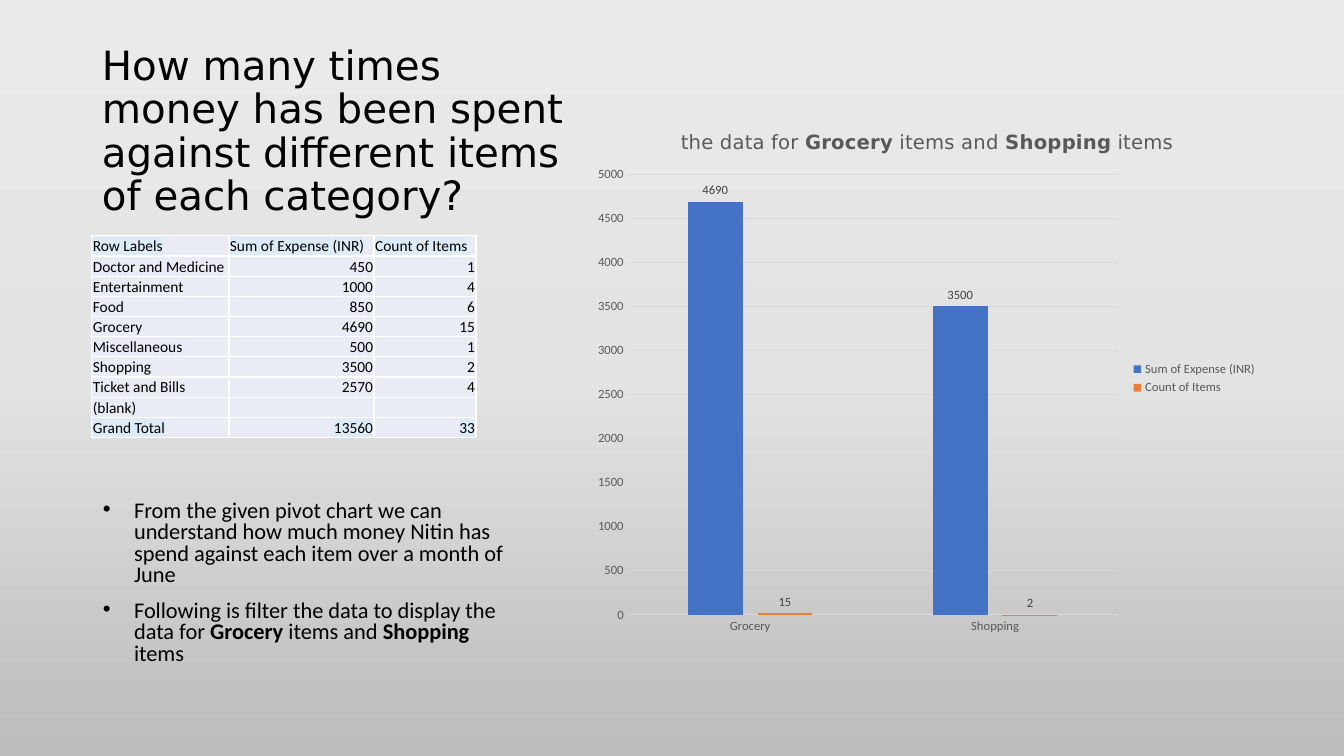
import lxml.etree
import copy
import pptx
import pptx.util
import pptx.chart.data
import pptx.dml.color
import pptx.enum.chart
import pptx.enum.text
import pptx.oxml.ns

Pt = pptx.util.Pt
RGB = pptx.dml.color.RGBColor
Align = pptx.enum.text.PP_ALIGN
Anchor = pptx.enum.text.MSO_ANCHOR
qn = pptx.oxml.ns.qn

BLACK = RGB(0, 0, 0)
WHITE = RGB(255, 255, 255)
GREY = RGB(0x59, 0x59, 0x59)
DARK = RGB(0x40, 0x40, 0x40)
RULE = RGB(0xD9, 0xD9, 0xD9)
CELL = RGB(0xE9, 0xEB, 0xF5)
MARK = RGB(0xDD, 0xEB, 0xF7)
BLUE = RGB(0x44, 0x72, 0xC4)
ORANGE = RGB(0xED, 0x7D, 0x31)
SHADES = [(0, RGB(0xEB, 0xEA, 0xEA)), (0.5, RGB(0xE4, 0xE3, 0xE3)),
          (1, RGB(0xBD, 0xBC, 0xBC))]

WIDE = pptx.util.Inches(13.33)
HIGH = pptx.util.Inches(7.5)
SANS = "DejaVu Sans"
BODY = "Calibri"

ASK = "How many times money has been spent against different items of each category?"
FOCUS = [("the data for ", False), ("Grocery", True), (" items and ", False),
         ("Shopping", True), (" items", False)]
POINTS = [
    [("From the given pivot chart we can understand how much money Nitin has "
      "spend against each item over a month of June", False)],
    [("Following is filter the data to display ", False)] + FOCUS,
]
SUM = "Sum of Expense (INR)"
COUNT = "Count of Items"
ROWS = [
    ("Row Labels", SUM, COUNT),
    ("Doctor and Medicine", "450", "1"),
    ("Entertainment", "1000", "4"),
    ("Food", "850", "6"),
    ("Grocery", "4690", "15"),
    ("Miscellaneous", "500", "1"),
    ("Shopping", "3500", "2"),
    ("Ticket and Bills", "2570", "4"),
    ("(blank)", "", ""),
    ("Grand Total", "13560", "33"),
]
COLS = [1.36, 1.44, 1.01]
SERIES = [(SUM, (4690, 3500), BLUE), (COUNT, (15, 2), ORANGE)]


def area(left, top, width, height):
    return [int(WIDE * left / 100), int(HIGH * top / 100),
            int(WIDE * width / 100), int(HIGH * height / 100)]


def place(shape, *share):
    shape.left, shape.top, shape.width, shape.height = area(*share)


def style(font, size, face=BODY, color=BLACK, bold=False):
    font.size = Pt(size)
    font.name = face
    font.bold = bold
    font.color.rgb = color


def write(para, parts, size, face=BODY, color=BLACK):
    for text, bold in parts:
        run = para.add_run()
        run.text = text
        style(run.font, size, face, color, bold)


def node(base, tag, **attrs):
    item = lxml.etree.SubElement(base, qn(tag))
    for key, value in attrs.items():
        item.set(key, str(value))
    return item


def shade(slide):
    fill = slide.background.fill
    fill.gradient()
    fill.gradient_angle = 270
    stops = next(slide.element.iter(qn("a:gsLst")))
    stops.insert(1, copy.deepcopy(stops[0]))
    for stop, (spot, color) in zip(fill.gradient_stops, SHADES):
        stop.position = spot
        stop.color.rgb = color


def add_title(slide):
    shape = slide.shapes.title
    place(shape, 6.83, 6.4, 36.76, 23.33)
    frame = shape.text_frame
    frame.auto_size = pptx.enum.text.MSO_AUTO_SIZE.NONE
    frame.vertical_anchor = Anchor.BOTTOM
    para = frame.paragraphs[0]
    para.alignment = Align.LEFT
    para.line_spacing = 0.9
    write(para, [(ASK, False)], 28.8, SANS)


def add_list(slide):
    shape = slide.placeholders[1]
    place(shape, 6.9, 65.6, 32.26, 25.33)
    frame = shape.text_frame
    frame.auto_size = pptx.enum.text.MSO_AUTO_SIZE.NONE
    for i, parts in enumerate(POINTS):
        para = frame.add_paragraph() if i else frame.paragraphs[0]
        para.line_spacing = 0.8
        para.space_before = Pt(10)
        write(para, parts, 16)
        props = para._p.get_or_add_pPr()
        dent = pptx.util.Inches(0.31)
        props.set("marL", str(dent))
        props.set("indent", str(-dent))
        node(props, "a:buFont", typeface="Arial")
        node(props, "a:buChar", char="•")


def edge(cell):
    props = cell._tc.get_or_add_tcPr()
    for side in "LRTB":
        line = node(props, "a:ln" + side, w=Pt(1))
        node(node(line, "a:solidFill"), "a:srgbClr", val=WHITE)


def fill_cell(cell, text, right, marked):
    edge(cell)
    cell.fill.solid()
    cell.fill.fore_color.rgb = CELL
    cell.vertical_anchor = Anchor.BOTTOM
    cell.margin_left = cell.margin_right = cell.margin_top = pptx.util.Inches(0.01)
    cell.margin_bottom = 0
    para = cell.text_frame.paragraphs[0]
    if not text:
        node(para._p, "a:endParaRPr", sz=1100)
        return
    para.alignment = Align.RIGHT if right else Align.LEFT
    write(para, [(text, False)], 11)
    if marked:
        props = para.runs[0].font._element
        light = lxml.etree.Element(qn("a:highlight"))
        node(light, "a:srgbClr", val=MARK)
        props.find(qn("a:solidFill")).addnext(light)


def add_grid(slide):
    spot = area(6.83, 31.2, 28.66, 26.67)
    table = slide.shapes.add_table(len(ROWS), len(COLS), *spot).table
    table.first_row = table.horz_banding = False
    for col, width in zip(table.columns, COLS):
        col.width = pptx.util.Inches(width)
    last = len(ROWS) - 1
    for i, row in enumerate(ROWS):
        for j, text in enumerate(row):
            fill_cell(table.cell(i, j), text, i and j, i in (0, last))


def set_axis(axis):
    axis.major_tick_mark = pptx.enum.chart.XL_TICK_MARK.NONE
    style(axis.tick_labels.font, 9, color=GREY)


def rule(line):
    line.color.rgb = RULE
    line.width = Pt(0.75)


def fix_plot(chart):
    plot = chart._chartSpace.chart.plotArea
    for old in plot.findall(qn("c:layout")):
        plot.remove(old)
    base = lxml.etree.Element(qn("c:layout"))
    plot.insert(0, base)
    form = node(base, "c:manualLayout")
    node(form, "c:layoutTarget", val="inner")
    node(form, "c:xMode", val="edge")
    node(form, "c:yMode", val="edge")
    for key, share in zip("xywh", (0.06, 0.12, 0.72, 0.82)):
        node(form, "c:" + key, val=share)


def add_bars(slide):
    data = pptx.chart.data.CategoryChartData()
    data.categories = ["Grocery", "Shopping"]
    for name, values, _ in SERIES:
        data.add_series(name, values)
    kind = pptx.enum.chart.XL_CHART_TYPE.COLUMN_CLUSTERED
    spot = area(43.66, 14.53, 50.64, 71.07)
    chart = slide.shapes.add_chart(kind, *spot, data).chart
    style(chart.font, 10)
    chart.has_title = True
    head = chart.chart_title
    head.include_in_layout = False
    write(head.text_frame.paragraphs[0], FOCUS, 14, SANS, GREY)
    chart.has_legend = True
    chart.legend.position = pptx.enum.chart.XL_LEGEND_POSITION.RIGHT
    chart.legend.include_in_layout = False
    style(chart.legend.font, 9, color=GREY)
    cats, vals = chart.category_axis, chart.value_axis
    set_axis(cats)
    set_axis(vals)
    rule(cats.format.line)
    rule(vals.major_gridlines.format.line)
    vals.format.line.fill.background()
    vals.minimum_scale, vals.maximum_scale, vals.major_unit = 0, 5000, 500
    plot = chart.plots[0]
    plot.vary_by_categories = False
    plot.gap_width, plot.overlap = 219, -27
    for bars, (_, _, color) in zip(plot.series, SERIES):
        bars.invert_if_negative = False
        bars.format.fill.solid()
        bars.format.fill.fore_color.rgb = color
        tags = bars.data_labels
        tags.show_value = True
        tags.position = pptx.enum.chart.XL_LABEL_POSITION.OUTSIDE_END
        style(tags.font, 9, color=DARK)
    fix_plot(chart)


def main():
    deck = pptx.Presentation()
    deck.slide_width, deck.slide_height = WIDE, HIGH
    slide = deck.slides.add_slide(deck.slide_layouts[1])
    shade(slide)
    add_title(slide)
    add_list(slide)
    add_bars(slide)
    add_grid(slide)
    deck.save("out.pptx")


if __name__ == "__main__":
    main()
